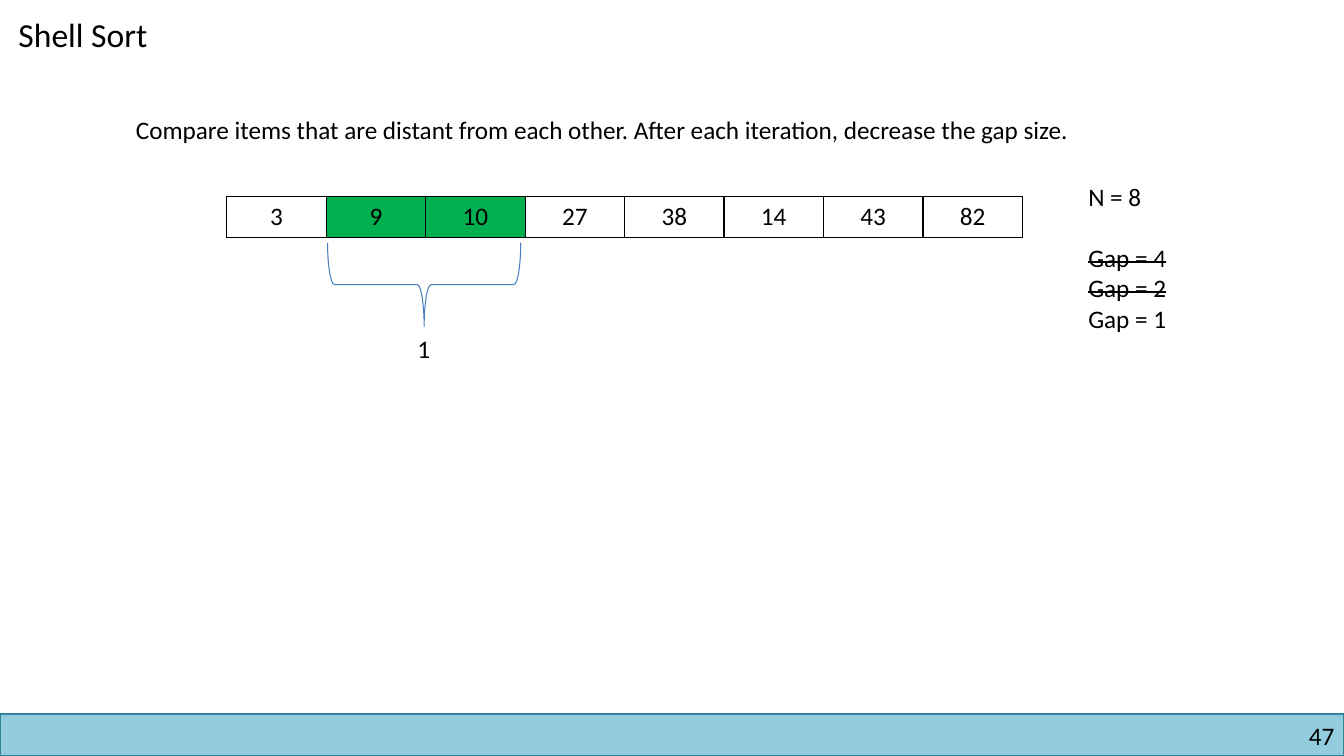
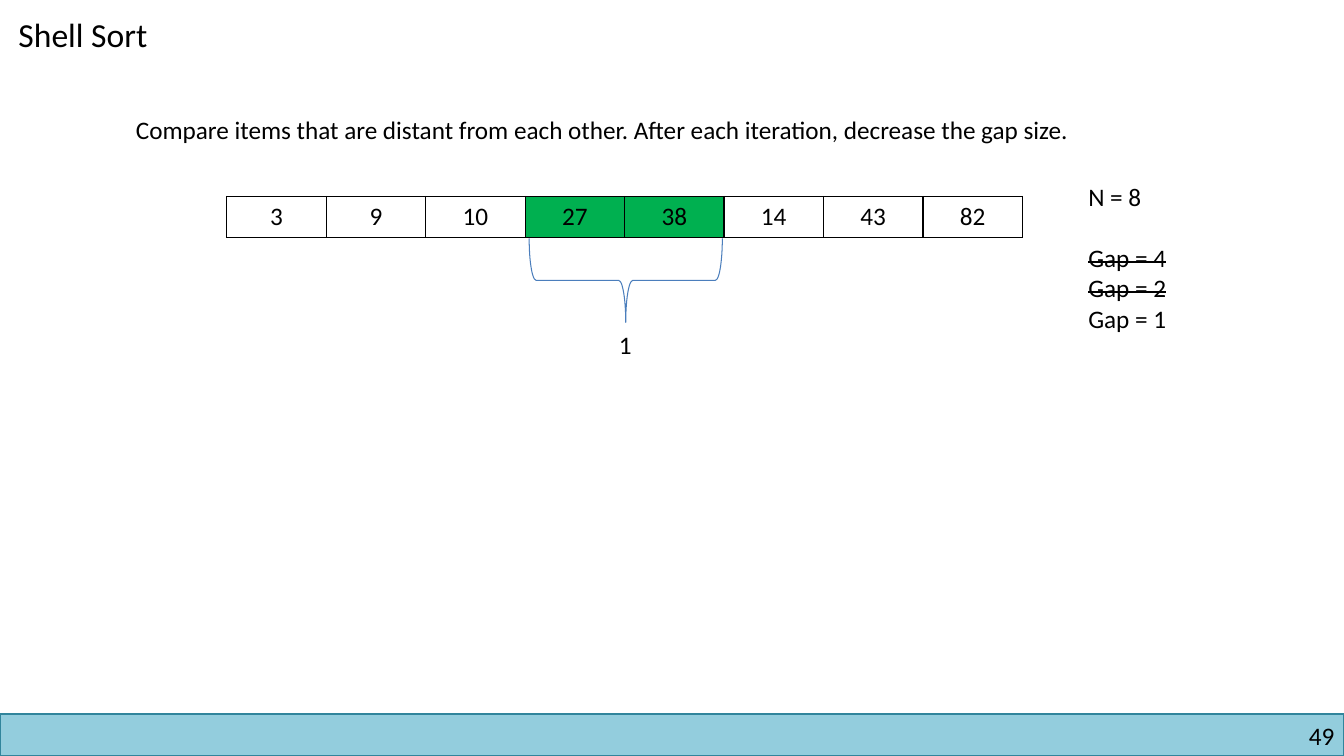
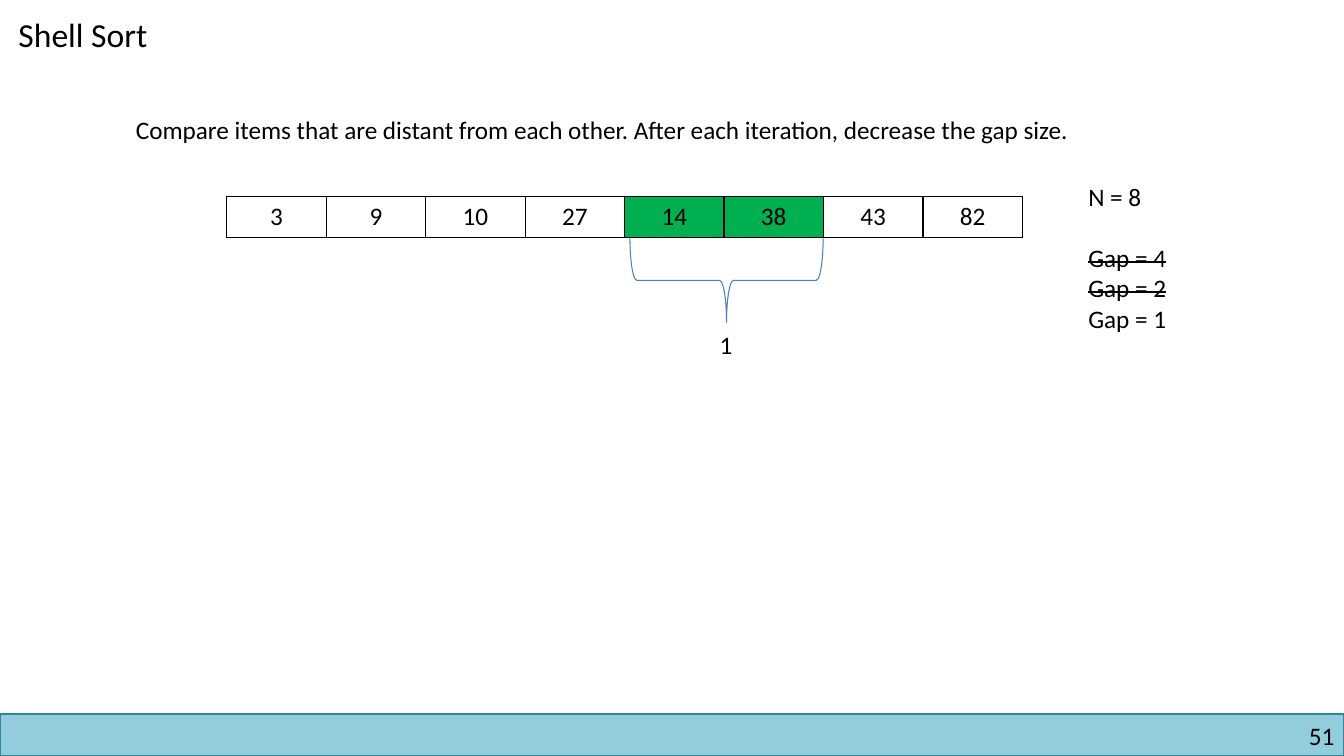
from lxml import etree
from pptx import Presentation
from pptx import util as u
from pptx.dml.color import RGBColor
from pptx.enum import shapes, text
from pptx.oxml import ns

PX = 9525
FONT = "Calibri"
BLACK = RGBColor(0x00, 0x00, 0x00)
WHITE = RGBColor(0xFF, 0xFF, 0xFF)
GREEN = RGBColor(0x00, 0xB0, 0x50)
BAND_FILL = RGBColor(0x93, 0xCD, 0xDD)
BAND_LINE = RGBColor(0x31, 0x85, 0x9C)
BRACE_LINE = RGBColor(0x4B, 0x7E, 0xBC)

TITLE = "Shell Sort"
RULE = "Compare items that are distant from each other. After each iteration, decrease the gap size."
GAPS = ["N = 8", "Gap = 4", "Gap = 2", "Gap = 1"]
FINISHED_GAPS = GAPS[1:3]
STEPS = [
    (47, [3, 9, 10, 27, 38, 14, 43, 82], 1, 179),
    (49, [3, 9, 10, 27, 38, 14, 43, 82], 3, 175),
    (51, [3, 9, 10, 27, 14, 38, 43, 82], 4, 175),
]


def px(*lengths):
    """Turn pixel lengths into EMU."""
    return [u.Emu(length * PX) for length in lengths]


def style(paragraph, size=18, align=text.PP_ALIGN.LEFT):
    """Give a paragraph the deck's font and an alignment."""
    paragraph.alignment = align
    for run in paragraph.runs:
        run.font.name = FONT
        run.font.size = u.Pt(size)
        run.font.color.rgb = BLACK


def add_label(slide, box, wording, align=text.PP_ALIGN.LEFT):
    """Add a wrapped text box and return its frame."""
    frame = slide.shapes.add_textbox(*px(*box)).text_frame
    frame.word_wrap = True
    frame.text = wording
    for paragraph in frame.paragraphs:
        style(paragraph, align=align)
    return frame


def add_title(slide):
    """Place and format the title placeholder."""
    title = slide.shapes.title
    title.left, title.top, title.width, title.height = px(8, 8, 159, 48)
    frame = title.text_frame
    frame.text = TITLE
    frame.vertical_anchor = text.MSO_ANCHOR.TOP
    frame.auto_size = text.MSO_AUTO_SIZE.NONE
    style(frame.paragraphs[0], size=24)


def add_outline(slide, kind, box, line, width):
    """Add an unfilled preset shape with a coloured line."""
    shape = slide.shapes.add_shape(kind, *px(*box))
    shape.shadow.inherit = False
    shape.fill.background()
    shape.line.color.rgb = line
    shape.line.width = u.Pt(width)
    return shape


def add_footer(slide, number):
    """Add the bottom band and the page number."""
    band = add_outline(slide, shapes.MSO_SHAPE.RECTANGLE, (0, 680, 1280, 40), BAND_LINE, 1)
    band.fill.solid()
    band.fill.fore_color.rgb = BAND_FILL
    frame = add_label(slide, (976, 686, 295, 29), str(number), text.PP_ALIGN.RIGHT)
    frame.margin_left = frame.margin_top = frame.margin_right = frame.margin_bottom = 0


def add_borders(cell):
    """Draw a thin black line on each side of a cell."""
    properties = cell._tc.get_or_add_tcPr()
    for side in ("a:lnL", "a:lnR", "a:lnT", "a:lnB"):
        border = etree.SubElement(properties, ns.qn(side), w=str(u.Pt(1)))
        fill = etree.SubElement(border, ns.qn("a:solidFill"))
        etree.SubElement(fill, ns.qn("a:srgbClr"), val=str(BLACK))


def add_array(slide, values, start):
    """Add the array as a table with the compared pair in green."""
    table = slide.shapes.add_table(1, len(values), *px(216, 187, 758, 39)).table
    table.first_row = table.horz_banding = False
    for index, value in enumerate(values):
        cell = table.cell(0, index)
        cell.text = str(value)
        style(cell.text_frame.paragraphs[0], align=text.PP_ALIGN.CENTER)
        add_borders(cell)
        cell.fill.solid()
        cell.fill.fore_color.rgb = GREEN if index in (start, start + 1) else WHITE


def add_gaps(slide):
    """List the gap sizes and strike out the finished ones."""
    frame = add_label(slide, (1027, 168, 107, 156), "\n".join(GAPS))
    frame.paragraphs[1].space_before = u.Pt(22)
    for paragraph in frame.paragraphs:
        if paragraph.text in FINISHED_GAPS:
            paragraph.runs[0].font._element.set("strike", "sngStrike")


def add_brace(slide, start, top):
    """Add the brace under the compared pair with its distance."""
    left = 268 + 96 * start
    brace = add_outline(slide, shapes.MSO_SHAPE.LEFT_BRACE, (left, top, 80, 184), BRACE_LINE, 0.75)
    brace.rotation = 270
    add_label(slide, (left + 24, top + 134, 33, 38), "1")


def main():
    """Build and save the deck."""
    deck = Presentation()
    deck.slide_width, deck.slide_height = px(1280, 720)
    for number, values, start, brace_top in STEPS:
        slide = deck.slides.add_slide(deck.slide_layouts.get_by_name("Title Only"))
        add_footer(slide, number)
        add_title(slide)
        add_label(slide, (120, 104, 995, 38), RULE)
        add_array(slide, values, start)
        add_gaps(slide)
        add_brace(slide, start, brace_top)
    deck.save("out.pptx")


if __name__ == "__main__":
    main()
